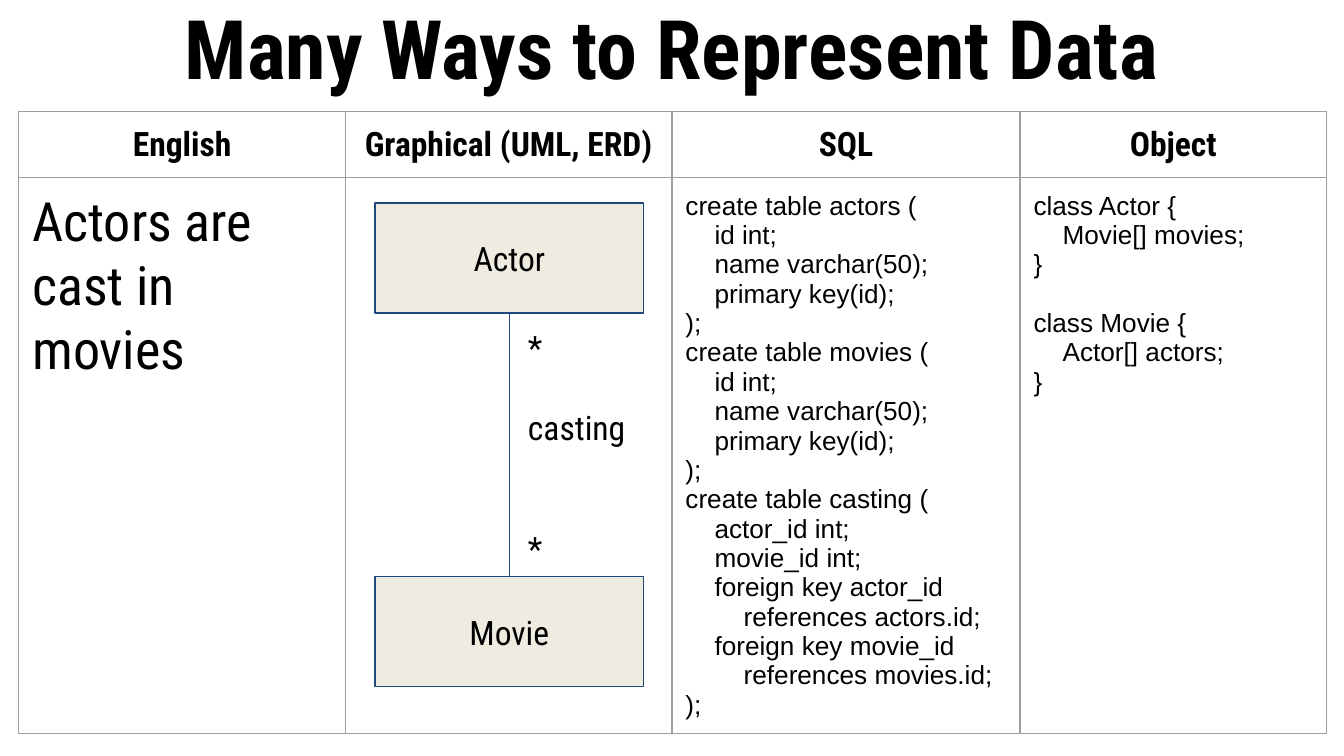
import pptx
import pptx.dml.color
import pptx.enum.shapes
import pptx.enum.text
import pptx.oxml
import pptx.oxml.ns
import pptx.util

Inches, Pt = pptx.util.Inches, pptx.util.Pt
RGBColor = pptx.dml.color.RGBColor
PP_ALIGN = pptx.enum.text.PP_ALIGN
MSO_ANCHOR = pptx.enum.text.MSO_ANCHOR

BLACK = RGBColor(0x00, 0x00, 0x00)
WHITE = RGBColor(0xFF, 0xFF, 0xFF)
GRID = RGBColor(0x9E, 0x9E, 0x9E)
BOX_FILL = RGBColor(0xEE, 0xEC, 0xE1)
BOX_LINE = RGBColor(0x1F, 0x49, 0x7D)
HEAD_FONT, CODE_FONT = "Roboto Condensed", "Arial"

# 16:9 slide and table grid, in inches
WIDTH = 10
HEIGHT = WIDTH * 9 / 16
LEFT, TOP = 0.14, 0.83
COLS = [2.43, 2.43, 2.59, 2.28]
ROWS = [0.49, 4.13]
PAD = 0.1

# Entity boxes, centred on the line that joins them
BOX_W, BOX_H = 2, 0.82
AXIS = 3.79
ACTOR_TOP, MOVIE_TOP = 1.51, 4.29

# Code lines: each tab is one indent step
INDENT = 15.6
CODE_LINE, LABEL_LINE = 15.7, 21.5
HEADERS = ["English", "Graphical (UML, ERD)", "SQL", "Object"]
SQL = [
    "create table actors (", "\tid int;", "\tname varchar(50);",
    "\tprimary key(id);", ");",
    "create table movies (", "\tid int;", "\tname varchar(50);",
    "\tprimary key(id);", ");",
    "create table casting (", "\tactor_id int;", "\tmovie_id int;",
    "\tforeign key actor_id", "\t\treferences actors.id;",
    "\tforeign key movie_id", "\t\treferences movies.id;", ");",
]
CLASSES = ["class Actor {", "\tMovie[] movies;", "}",
           "class Movie {", "\tActor[] actors;", "}"]


def write(tf, lines, size, font=HEAD_FONT, bold=False,
          align=PP_ALIGN.LEFT, gaps=None):
    """Write one paragraph per line; gaps maps a line's index to space before."""
    tf.word_wrap = True
    for i, line in enumerate(lines):
        p = tf.paragraphs[0] if i == 0 else tf.add_paragraph()
        p.alignment = align
        level = line.count("\t")
        if level:
            pPr = p._p.get_or_add_pPr()
            pPr.set("marL", str(Pt(INDENT * level)))
            pPr.set("indent", "0")
        if gaps and i in gaps:
            p.space_before = Pt(gaps[i])
        r = p.add_run()
        r.text = line.strip()
        r.font.size, r.font.name, r.font.bold = Pt(size), font, bold
        r.font.color.rgb = BLACK


def set_margins(box):
    """Give a text frame or a table cell the same padding on each side."""
    box.margin_left = box.margin_right = Inches(PAD)
    box.margin_top = box.margin_bottom = Inches(PAD)


def add_title(slide, text):
    sp = slide.shapes.title
    sp.left, sp.top, sp.width, sp.height = 0, 0, Inches(WIDTH), Inches(0.69)
    tf = sp.text_frame
    set_margins(tf)
    tf.vertical_anchor = MSO_ANCHOR.MIDDLE
    write(tf, [text], 44, bold=True, align=PP_ALIGN.CENTER)


def style_cell(cell):
    set_margins(cell)
    tcPr = cell._tc.get_or_add_tcPr()
    for side in "LRTB":
        tcPr.append(pptx.oxml.parse_xml(
            f'<a:ln{side} {pptx.oxml.ns.nsdecls("a")} w="{Pt(0.75)}">'
            f'<a:solidFill><a:srgbClr val="{GRID}"/></a:solidFill></a:ln{side}>'))
    cell.fill.solid()
    cell.fill.fore_color.rgb = WHITE


def add_grid(slide):
    table = slide.shapes.add_table(
        len(ROWS), len(COLS), Inches(LEFT), Inches(TOP),
        Inches(sum(COLS)), Inches(sum(ROWS))).table
    table.first_row = table.horz_banding = False
    for col, width in zip(table.columns, COLS):
        col.width = Inches(width)
    for row, height in zip(table.rows, ROWS):
        row.height = Inches(height)
    for cell in table.iter_cells():
        style_cell(cell)
    return table


def add_entity(slide, name, top):
    sp = slide.shapes.add_shape(
        pptx.enum.shapes.MSO_SHAPE.RECTANGLE, Inches(AXIS - BOX_W / 2),
        Inches(top), Inches(BOX_W), Inches(BOX_H))
    sp.shadow.inherit = False
    sp.fill.solid()
    sp.fill.fore_color.rgb = BOX_FILL
    sp.line.color.rgb = BOX_LINE
    sp.line.width = Pt(0.75)
    tf = sp.text_frame
    set_margins(tf)
    tf.vertical_anchor = MSO_ANCHOR.MIDDLE
    write(tf, [name], 18, align=PP_ALIGN.CENTER)
    return sp


def add_relation(slide, start, end):
    line = slide.shapes.add_connector(
        pptx.enum.shapes.MSO_CONNECTOR.STRAIGHT, 0, 0, 0, 0)
    line.begin_connect(start, 2)
    line.end_connect(end, 0)
    line.line.color.rgb = BOX_LINE
    line.line.width = Pt(0.75)
    line._element.spPr.append(pptx.oxml.parse_xml(
        f'<a:effectLst {pptx.oxml.ns.nsdecls("a")}/>'))


def add_relation_labels(slide):
    sp = slide.shapes.add_textbox(
        Inches(AXIS + 0.04), Inches(ACTOR_TOP + BOX_H), Inches(1.05), Inches(2.02))
    set_margins(sp.text_frame)
    write(sp.text_frame, ["*", "casting", "*"], 18,
          gaps={1: LABEL_LINE, 2: 2 * LABEL_LINE})


def main():
    prs = pptx.Presentation()
    prs.slide_width, prs.slide_height = Inches(WIDTH), Inches(HEIGHT)
    slide = prs.slides.add_slide(prs.slide_layouts[5])
    add_title(slide, "Many Ways to Represent Data")

    # Table of representations
    table = add_grid(slide)
    for i, header in enumerate(HEADERS):
        write(table.cell(0, i).text_frame, [header], 18, bold=True,
              align=PP_ALIGN.CENTER)
    write(table.cell(1, 0).text_frame, ["Actors are cast in movies"], 29)
    write(table.cell(1, 2).text_frame, SQL, 14, CODE_FONT)
    write(table.cell(1, 3).text_frame, CLASSES, 14, CODE_FONT,
          gaps={3: CODE_LINE})

    # Entity diagram in the graphical column
    actor = add_entity(slide, "Actor", ACTOR_TOP)
    movie = add_entity(slide, "Movie", MOVIE_TOP)
    add_relation(slide, actor, movie)
    add_relation_labels(slide)

    prs.save("out.pptx")


if __name__ == "__main__":
    main()
